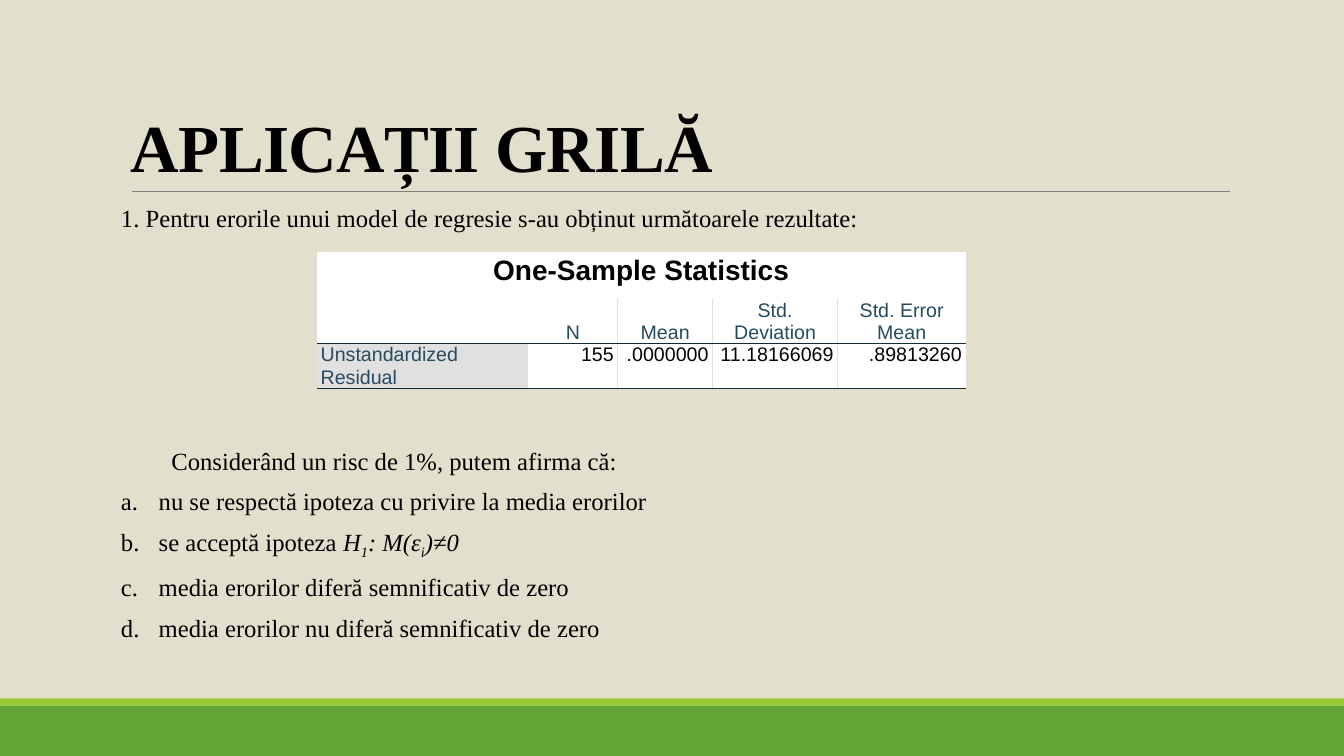
"""Build a quiz slide on regression errors with a one-sample statistics table."""
from lxml import etree
from pptx import Presentation
from pptx import util as u
from pptx.dml.color import RGBColor
from pptx.enum import shapes, text
from pptx.oxml import ns

TITLE = "APLICAȚII GRILĂ"
QUESTION = "1. Pentru erorile unui model de regresie s-au obținut următoarele rezultate:"
PROMPT = "Considerând un risc de 1%, putem afirma că:"
OPTIONS = [
    [("nu se respectă ipoteza cu privire la media erorilor", "plain")],
    [("se acceptă ipoteza ", "plain"), ("H", "italic"), ("1", "subscript"),
     (": M(ε", "italic"), ("i", "subscript"), (")≠0", "italic")],
    [("media erorilor diferă semnificativ de zero", "plain")],
    [("media erorilor nu diferă semnificativ de zero", "plain")],
]
TABLE = [
    ["One-Sample Statistics", "", "", "", ""],
    ["", "N", "Mean", "Std. Deviation", "Std. Error Mean"],
    ["Unstandardized Residual", "155", ".0000000", "11.18166069", ".89813260"],
]
COLUMN_WIDTHS = [5.33, 2.26, 2.39, 3.15, 3.23]
ROW_HEIGHTS = [1.17, 1.14, 1.12]
BANDS = [(17.78, 1.27, "63A537"), (17.6, 0.18, "99CB38")]
SLIDE_WIDTH, SLIDE_HEIGHT = 33.87, 19.05
TEXT_LEFT, TEXT_WIDTH = 3.05, 27.94
DARK, GREY, LABEL, VALUE = "152935", "E0E0E0", "264A60", "010205"
SERIF, SANS = "Times New Roman", "Arial"
LEFT, CENTER, RIGHT = text.PP_ALIGN.LEFT, text.PP_ALIGN.CENTER, text.PP_ALIGN.RIGHT
TOP, MIDDLE, BOTTOM = text.MSO_ANCHOR.TOP, text.MSO_ANCHOR.MIDDLE, text.MSO_ANCHOR.BOTTOM


def color(value):
    return RGBColor.from_string(value)


def apply(target, values):
    for name, value in values.items():
        setattr(target, name, value)


def add_run(paragraph, content, size, font=SERIF, hue="000000", **values):
    run = paragraph.add_run()
    run.text = content
    apply(run.font, {"size": u.Pt(size), "name": font, **values})
    run.font.color.rgb = color(hue)
    return run


def add_text_box(slide, top, height, inset, anchor):
    box = slide.shapes.add_textbox(u.Cm(TEXT_LEFT), u.Cm(top), u.Cm(TEXT_WIDTH), u.Cm(height))
    apply(box.text_frame, {"word_wrap": True, "vertical_anchor": anchor,
                           "margin_left": u.Cm(inset), "margin_right": u.Cm(inset)})
    return box.text_frame


def set_indent(paragraph, margin, first_line):
    properties = paragraph._p.get_or_add_pPr()
    properties.set("marL", str(u.Cm(margin)))
    properties.set("indent", str(u.Cm(first_line)))
    return properties


def add_options(frame):
    for option in OPTIONS:
        paragraph = frame.add_paragraph()
        apply(paragraph, {"space_before": u.Pt(6), "space_after": u.Pt(2),
                          "alignment": text.PP_ALIGN.JUSTIFY})
        properties = set_indent(paragraph, 0.95, -0.95)
        numbering = etree.SubElement(properties, ns.qn("a:buFont"))
        numbering.set("typeface", "+mj-lt")
        numbering = etree.SubElement(properties, ns.qn("a:buAutoNum"))
        numbering.set("type", "alphaLcPeriod")
        for content, style in option:
            run = add_run(paragraph, content, 17.6, italic=style != "plain")
            if style == "subscript":
                run._r.get_or_add_rPr().set("baseline", "-25000")


def set_borders(cell, borders):
    properties = cell._tc.get_or_add_tcPr()
    for side in "LRTB":
        line = etree.SubElement(properties, ns.qn("a:ln" + side), w=str(u.Pt(1)))
        if side in borders:
            fill = etree.SubElement(line, ns.qn("a:solidFill"))
            etree.SubElement(fill, ns.qn("a:srgbClr"), val=borders[side])
        else:
            etree.SubElement(line, ns.qn("a:noFill"))


def cell_borders(row, column):
    borders = {}
    if row > 0:
        borders["B"] = DARK
        if column > 1:
            borders["L"] = GREY
        if 0 < column < len(COLUMN_WIDTHS) - 1:
            borders["R"] = GREY
    if row == 2:
        borders["T"] = DARK
    return borders


def cell_style(row, column):
    if row == 0:
        return CENTER, MIDDLE, {"size": 20, "hue": VALUE, "bold": True}
    if row == 1:
        return CENTER, BOTTOM, {"size": 14, "hue": LABEL, "bold": False}
    if column == 0:
        return LEFT, TOP, {"size": 14, "hue": LABEL, "bold": False}
    return RIGHT, TOP, {"size": 14, "hue": VALUE, "bold": False}


def add_statistics(slide):
    frame = slide.shapes.add_table(len(TABLE), len(COLUMN_WIDTHS), u.Cm(7.98), u.Cm(6.35),
                                   u.Cm(sum(COLUMN_WIDTHS)), u.Cm(sum(ROW_HEIGHTS)))
    table = frame.table
    apply(table, {"first_row": False, "horz_banding": False})
    for column, width in zip(table.columns, COLUMN_WIDTHS):
        column.width = u.Cm(width)
    for row, height in zip(table.rows, ROW_HEIGHTS):
        row.height = u.Cm(height)
    table.cell(0, 0).merge(table.cell(0, len(COLUMN_WIDTHS) - 1))
    for i, values in enumerate(TABLE):
        for j, content in enumerate(values):
            cell = table.cell(i, j)
            alignment, anchor, font = cell_style(i, j)
            apply(cell, {"margin_left": u.Cm(0.1), "margin_right": u.Cm(0.1), "margin_top": 0,
                         "margin_bottom": 0, "vertical_anchor": anchor})
            set_borders(cell, cell_borders(i, j))
            cell.fill.solid()
            cell.fill.fore_color.rgb = color(GREY if (i, j) == (2, 0) else "FFFFFF")
            paragraph = cell.text_frame.paragraphs[0]
            apply(paragraph, {"alignment": alignment, "line_spacing": u.Pt(16)})
            if content:
                add_run(paragraph, content, font=SANS, **font)


def add_decoration(slide):
    slide.background.fill.solid()
    slide.background.fill.fore_color.rgb = color("E2DFCC")
    for top, height, hue in BANDS:
        band = slide.shapes.add_shape(shapes.MSO_SHAPE.RECTANGLE, 0, u.Cm(top),
                                      u.Cm(SLIDE_WIDTH), u.Cm(height))
        band.shadow.inherit = False
        band.fill.solid()
        band.fill.fore_color.rgb = color(hue)
        band.line.fill.background()
    rule = slide.shapes.add_connector(shapes.MSO_CONNECTOR.STRAIGHT, u.Cm(3.33), u.Cm(4.82),
                                      u.Cm(31), u.Cm(4.82))
    rule.line.color.rgb = color("808080")
    rule.line.width = u.Pt(0.5)
    etree.SubElement(rule._element.spPr, ns.qn("a:effectLst"))


def main():
    presentation = Presentation()
    apply(presentation, {"slide_width": u.Cm(SLIDE_WIDTH), "slide_height": u.Cm(SLIDE_HEIGHT)})
    slide = presentation.slides.add_slide(presentation.slide_layouts[6])
    add_decoration(slide)

    title = add_text_box(slide, 0.79, 4.04, 0.25, BOTTOM).paragraphs[0]
    title.line_spacing = 0.85
    run = add_run(title, TITLE, 48, bold=True)
    run._r.get_or_add_rPr().set("spc", "-50")

    question = add_text_box(slide, 5.2, 1, 0, TOP).paragraphs[0]
    question.line_spacing = 0.7
    add_run(question, QUESTION, 17.6)

    add_statistics(slide)

    answers = add_text_box(slide, 11.1, 5.2, 0, TOP)
    prompt = answers.paragraphs[0]
    prompt.space_after = u.Pt(2)
    set_indent(prompt, 1.27, 0)
    add_run(prompt, PROMPT, 17.6)
    add_options(answers)

    presentation.save("out.pptx")


if __name__ == "__main__":
    main()
